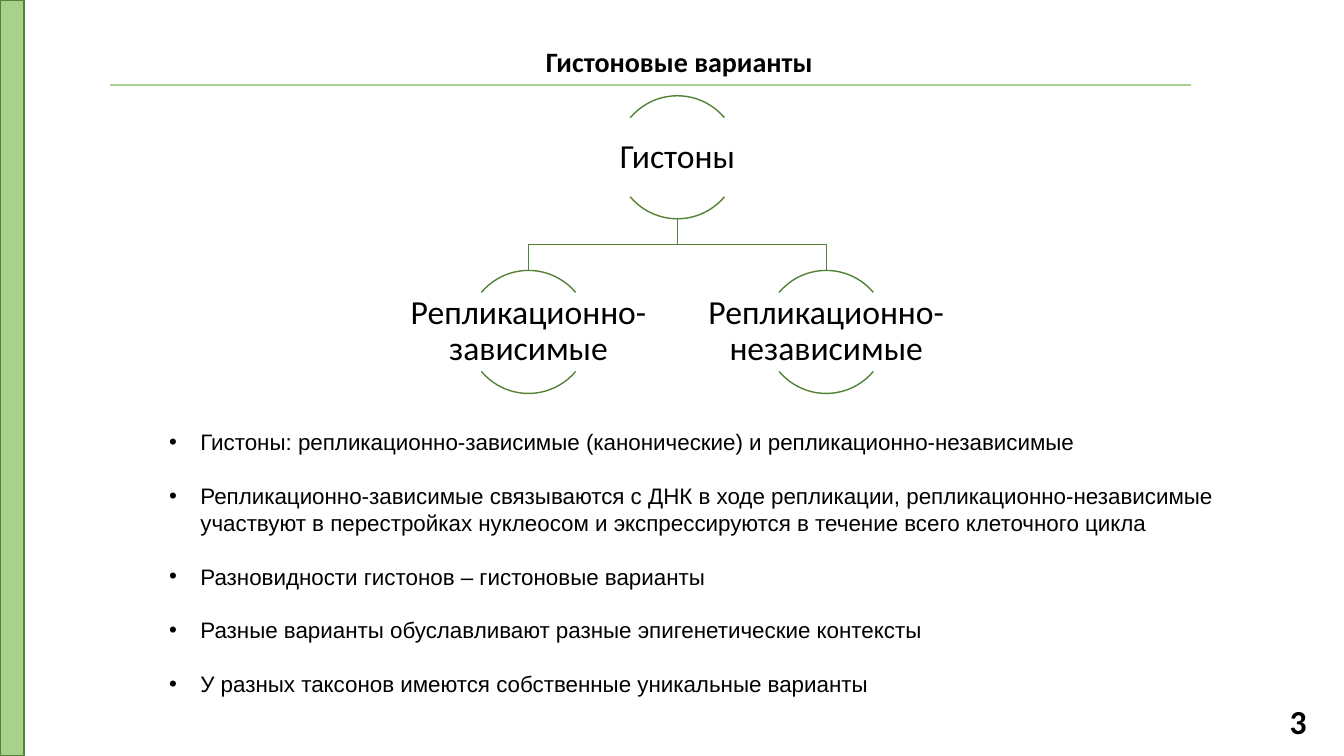
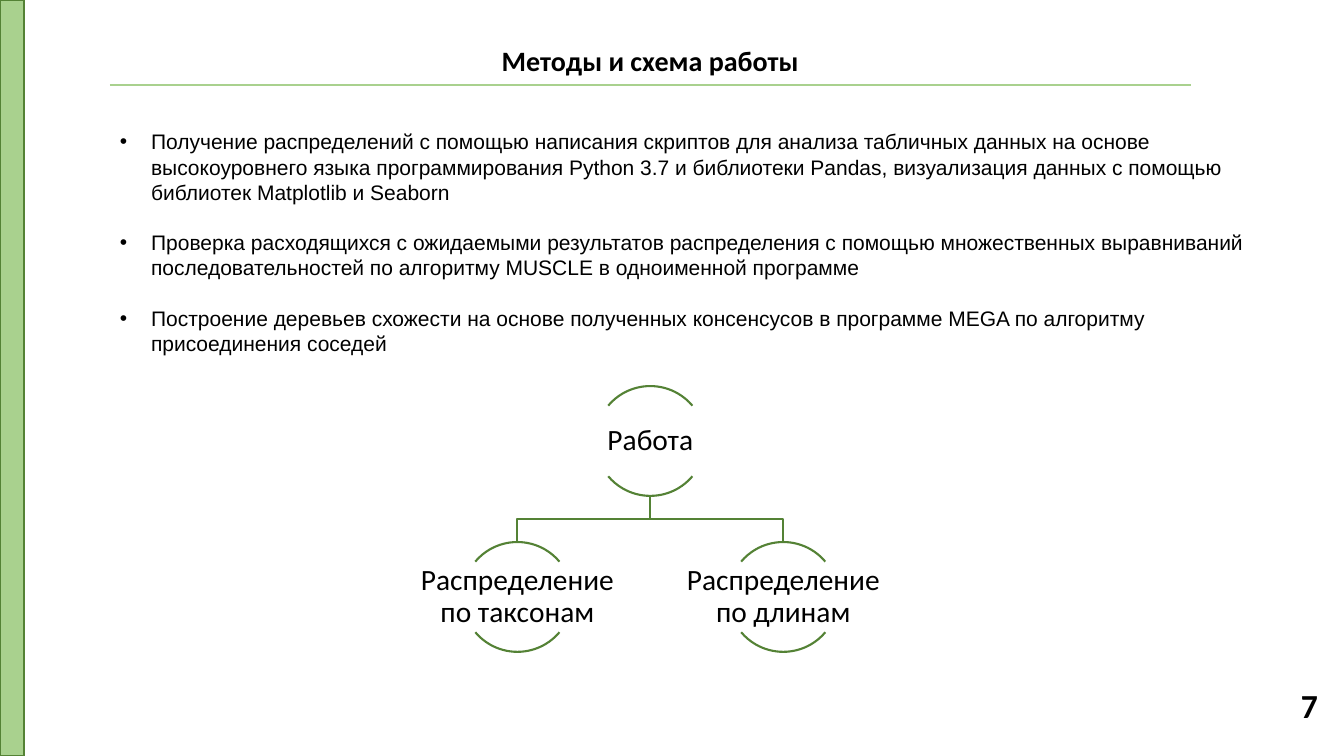
from lxml import etree
from pptx import Presentation
from pptx.dml.color import RGBColor
from pptx.enum.shapes import MSO_CONNECTOR, MSO_SHAPE
from pptx.enum.text import MSO_ANCHOR, PP_ALIGN
from pptx.oxml.ns import qn
from pptx.util import Inches, Pt

ARC, RECTANGLE = MSO_SHAPE.ARC, MSO_SHAPE.RECTANGLE
STRAIGHT = MSO_CONNECTOR.STRAIGHT
TOP, MIDDLE = MSO_ANCHOR.TOP, MSO_ANCHOR.MIDDLE
LEFT, CENTER, RIGHT = PP_ALIGN.LEFT, PP_ALIGN.CENTER, PP_ALIGN.RIGHT

COLORS = {
    name: RGBColor.from_string(value)
    for name, value in {"text": "000000", "light": "A9D18E", "dark": "548235"}.items()
}
HEADING_FONT, BODY_FONT = "Calibri", "Arial"
ARC_ANGLES = [(132, 192), (24, 84)]
SIBLING_OFFSET, ROW_STEP, STEM = 1.21, 1.42, 0.21
LABEL_WIDTH, LABEL_HEIGHT = 2, 0.64
BULLET_LINE = 1.2

SLIDES = [
    {
        "title": "Гистоновые варианты",
        "title_box": (39.8, 5.2, 21.5, 5.87),
        "number": "3",
        "number_box": (70.65, 92.67, 27.3, 5.33),
        "bullets": [
            "Гистоны: репликационно-зависимые (канонические) и репликационно-независимые",
            "Репликационно-зависимые связываются с ДНК в ходе репликации, "
            "репликационно-независимые участвуют в перестройках нуклеосом "
            "и экспрессируются в течение всего клеточного цикла",
            "Разновидности гистонов – гистоновые варианты",
            "Разные варианты обуславливают разные эпигенетические контексты",
            "У разных таксонов имеются собственные уникальные варианты",
        ],
        "bullets_box": (11.85, 56, 82.75, 41.33),
        "bullet_size": 16,
        "root": "Гистоны",
        "children": ["Репликационно-зависимые", "Репликационно-независимые"],
        "root_center": 50.4,
        "root_top": 12.67,
        "diameter": 16.27,
        "label_size": 24,
        "line_width": 1,
    },
    {
        "title": "Методы и схема работы",
        "title_box": (36.53, 5.07, 23.7, 5.87),
        "number": "7",
        "number_box": (92.42, 89.73, 6.38, 7.07),
        "bullets": [
            "Получение распределений с помощью написания скриптов для анализа "
            "табличных данных на основе высокоуровнего языка программирования "
            "Python 3.7 и библиотеки Pandas, визуализация данных с помощью "
            "библиотек Matplotlib и Seaborn",
            "Проверка расходящихся с ожидаемыми результатов распределения "
            "с помощью множественных выравниваний последовательностей "
            "по алгоритму MUSCLE в одноименной программе",
            "Построение деревьев схожести на основе полученных консенсусов "
            "в программе MEGA по алгоритму присоединения соседей",
        ],
        "bullets_box": (8.18, 16.4, 85.67, 31.6),
        "bullet_size": 15,
        "root": "Работа",
        "children": ["Распределение по таксонам", "Распределение по длинам"],
        "root_center": 48.39,
        "root_top": 51.07,
        "diameter": 14.53,
        "label_size": 21,
        "line_width": 1.5,
    },
]

presentation = Presentation()
presentation.slide_width, presentation.slide_height = Inches(13.33), Inches(7.5)
COLUMN, ROW = presentation.slide_width / 100, presentation.slide_height / 100
blank_layout = presentation.slide_layouts[6]


def add_text(slide, box, texts, size, font=HEADING_FONT, bold=False,
             align=CENTER, anchor=MIDDLE, inset=None, wrap=True):
    frame = slide.shapes.add_textbox(*map(round, box)).text_frame
    frame.word_wrap = wrap
    frame.vertical_anchor = anchor
    if inset is not None:
        frame.margin_left = frame.margin_right = inset
        frame.margin_top = frame.margin_bottom = inset
    for index, text in enumerate(texts):
        paragraph = frame.add_paragraph() if index else frame.paragraphs[0]
        paragraph.alignment = align
        run = paragraph.add_run()
        run.text = text
        run.font.name = font
        run.font.size = Pt(size)
        run.font.bold = bold
        run.font.color.rgb = COLORS["text"]
    return frame


def style_outline(shape, color, width):
    shape.shadow.inherit = False
    shape.fill.background()
    shape.line.color.rgb = COLORS[color]
    shape.line.width = Pt(width)


for content in SLIDES:
    slide = presentation.slides.add_slide(blank_layout)

    side_band = slide.shapes.add_shape(RECTANGLE, 0, 0, round(1.8 * COLUMN), round(100 * ROW))
    style_outline(side_band, "dark", 1)
    side_band.fill.solid()
    side_band.fill.fore_color.rgb = COLORS["light"]

    title_rule = slide.shapes.add_connector(
        STRAIGHT, round(8.18 * COLUMN), round(11.2 * ROW), round(88.6 * COLUMN), round(11.2 * ROW))
    title_rule.line.color.rgb = COLORS["light"]
    title_rule.line.width = Pt(1.5)
    etree.SubElement(title_rule._element.spPr, qn("a:effectLst"))

    title_box, number_box, bullets_box = (
        [share * unit for share, unit in zip(content[key], (COLUMN, ROW, COLUMN, ROW))]
        for key in ("title_box", "number_box", "bullets_box"))
    add_text(slide, title_box, [content["title"]], 20, bold=True, anchor=TOP, wrap=False)
    add_text(slide, number_box, [content["number"]], 24, bold=True, align=RIGHT)

    bullet_size = content["bullet_size"]
    bullet_frame = add_text(slide, bullets_box, content["bullets"], bullet_size,
                            font=BODY_FONT, align=LEFT, anchor=TOP)
    for index, paragraph in enumerate(bullet_frame.paragraphs):
        paragraph.line_spacing = Pt(BULLET_LINE * bullet_size)
        if index:
            paragraph.space_before = Pt(BULLET_LINE * bullet_size)
        properties = paragraph._p.get_or_add_pPr()
        properties.set("marL", str(Inches(0.31)))
        properties.set("indent", str(-Inches(0.31)))
        etree.SubElement(properties, qn("a:buFont"), typeface=BODY_FONT)
        etree.SubElement(properties, qn("a:buChar"), char="•")

    diameter = content["diameter"] * ROW
    root_center = content["root_center"] * COLUMN
    root_top = content["root_top"] * ROW
    child_top = root_top + ROW_STEP * diameter
    stem_top = root_top + diameter
    stem_bottom = stem_top + STEM * diameter
    nodes = [(content["root"], root_center, root_top)]
    for side, label in zip((-1, 1), content["children"]):
        child_center = root_center + side * SIBLING_OFFSET * diameter
        nodes.append((label, child_center, child_top))
        builder = slide.shapes.build_freeform(round(root_center), round(stem_top))
        builder.add_line_segments(
            [(round(root_center), round(stem_bottom)),
             (round(child_center), round(stem_bottom)),
             (round(child_center), round(child_top))], close=False)
        style_outline(builder.convert_to_shape(), "dark", content["line_width"])

    for label, center, top in nodes:
        for angles in ARC_ANGLES:
            arc = slide.shapes.add_shape(
                ARC, round(center - diameter / 2), round(top), round(diameter), round(diameter))
            arc.adjustments[0], arc.adjustments[1] = angles
            style_outline(arc, "dark", content["line_width"])
        label_box = (center - LABEL_WIDTH * diameter / 2,
                     top + (1 - LABEL_HEIGHT) * diameter / 2,
                     LABEL_WIDTH * diameter, LABEL_HEIGHT * diameter)
        label_frame = add_text(slide, label_box, [label], content["label_size"], inset=Inches(0.02))
        label_frame.paragraphs[0].line_spacing = 0.9

presentation.save("out.pptx")
